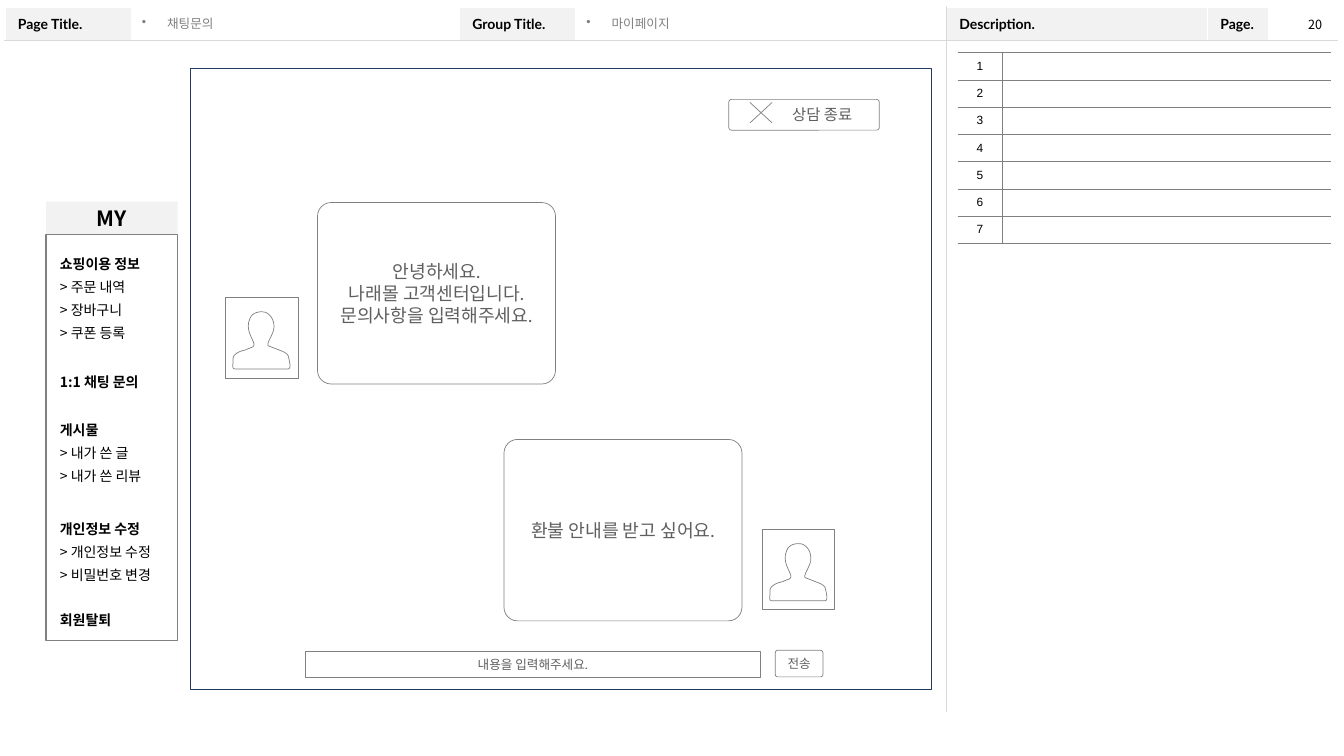
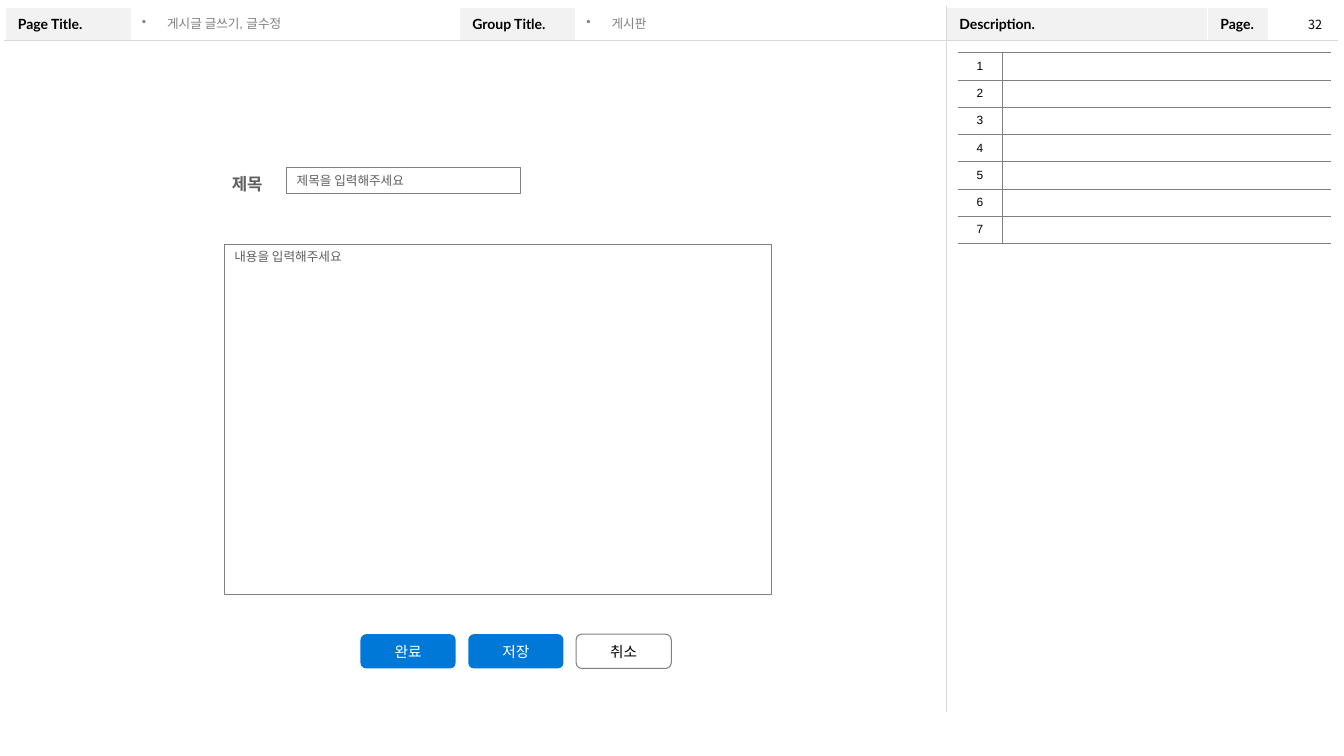
"""Build two storyboard pages: a chat inquiry screen and a post editor screen."""
import lxml.etree
import pptx
import pptx.dml.color
import pptx.enum.shapes
import pptx.enum.text
import pptx.oxml.ns
import pptx.util

Pt = pptx.util.Pt
RGBColor = pptx.dml.color.RGBColor
SHAPE = pptx.enum.shapes.MSO_SHAPE
ALIGN = pptx.enum.text.PP_ALIGN
ANCHOR = pptx.enum.text.MSO_ANCHOR
qn = pptx.oxml.ns.qn

BLACK = RGBColor(0x00, 0x00, 0x00)
WHITE = RGBColor(0xFF, 0xFF, 0xFF)
BAND = RGBColor(0xF2, 0xF2, 0xF2)
RULE = RGBColor(0xD9, 0xD9, 0xD9)
GRAY = RGBColor(0x80, 0x80, 0x80)
TEXT = RGBColor(0x5F, 0x5F, 0x5F)
NAVY = RGBColor(0x22, 0x39, 0x61)
BLUE = RGBColor(0x00, 0x78, 0xD7)
SANS, LATIN, KOREAN = "Arial", "Lato", "Noto Sans CJK KR"
INSETS = (7.2, 3.6, 7.2, 3.6)

HEADER = ["Page Title.", "", "Group Title.", "", "Description.", "Page.", ""]
HEADER_WIDTHS = [90.7, 234, 82.8, 265, 186.5, 43.9, 49]
HEADER_HEIGHTS = [23.8, 480.2]
DIVIDER_COLUMN = 4
NOTE_COUNT, NOTE_WIDTHS, NOTE_HEIGHT = 7, [31.8, 234.7], 19.5

MENU_BOX = (33, 167.5, 94, 290)
MENU = [
    (177.1, ["쇼핑이용 정보", "> 주문 내역", "> 장바구니", "> 쿠폰 등록"]),
    (261.4, ["1:1 채팅 문의"]),
    (295.9, ["게시물", "> 내가 쓴 글", "> 내가 쓴 리뷰"]),
    (366.5, ["개인정보 수정", "> 개인정보 수정", "> 비밀번호 변경"]),
    (432, ["회원탈퇴"]),
]
CHATS = [
    ((226.8, 144.7), (161, 212.4),
     ["안녕하세요.", "나래몰 고객센터입니다.", "문의사항을 입력해주세요."]),
    ((360, 313.9), (544.5, 378), ["환불 안내를 받고 싶어요."]),
]
SILHOUETTE_START = (55, 44)
SILHOUETTE_CURVES = [
    ((53, 40), (47, 39), (43, 37)), ((40, 36), (38, 35), (35, 34)),
    ((34, 31), (37, 28), (40, 20)), ((42, 15), (41, 5), (33, 1)),
    ((27, -1), (19, 1), (17, 7)), ((12, 18), (20, 27), (21, 32)),
    ((22, 36), (16, 36), (13, 38)), ((9, 39), (5, 40), (2, 43)),
    ((-1, 46), (1, 49), (0, 53)), ((0, 56), (0, 57), (3, 57)),
    ((20, 57), (35, 57), (55, 57)), ((59, 57), (55, 45), (55, 44)),
]
SILHOUETTE_SCALE, CURVE_STEPS = 0.72, 8
BUTTONS = [("완료", BLUE, WHITE), ("저장", BLUE, WHITE), ("취소", None, BLACK)]
BUTTON_LEFT, BUTTON_STEP = 257.5, 77


def points(*lengths):
    return [Pt(length) for length in lengths]


def write(frame, lines, size, font=LATIN, color=TEXT, bold=False, align=ALIGN.LEFT,
          anchor=ANCHOR.MIDDLE, insets=INSETS, wrap=True, spacing=None):
    frame.word_wrap = wrap
    frame.vertical_anchor = anchor
    (frame.margin_left, frame.margin_top,
     frame.margin_right, frame.margin_bottom) = points(*insets)
    frame.text = "\n".join(lines)
    for para in frame.paragraphs:
        para.alignment = align
        if spacing:
            para.line_spacing = spacing
        para.font.size = Pt(size)
        para.font.name = font
        para.font.bold = bold
        para.font.color.rgb = color
    return frame.paragraphs


def add_text(page, area, lines, size, **style):
    box = page.shapes.add_textbox(*points(*area))
    return write(box.text_frame, lines, size, **style)


def paint(shape, fill=WHITE, line=GRAY, weight=0.5):
    shape.shadow.inherit = False
    if fill is None:
        shape.fill.background()
    else:
        shape.fill.solid()
        shape.fill.fore_color.rgb = fill
    if line is None:
        shape.line.fill.background()
    else:
        shape.line.color.rgb = line
        shape.line.width = Pt(weight)


def add_box(page, area, radius=None, **look):
    kind = SHAPE.RECTANGLE if radius is None else SHAPE.ROUNDED_RECTANGLE
    box = page.shapes.add_shape(kind, *points(*area))
    if radius is not None:
        box.adjustments[0] = radius
    paint(box, **look)
    return box


def set_borders(cell, borders):
    properties = cell._tc.get_or_add_tcPr()
    for side, border in zip("LRTB", borders):
        line = lxml.etree.SubElement(properties, qn("a:ln" + side))
        if border is None:
            lxml.etree.SubElement(line, qn("a:noFill"))
            continue
        color, weight = border
        line.set("w", str(Pt(weight)))
        solid = lxml.etree.SubElement(line, qn("a:solidFill"))
        lxml.etree.SubElement(solid, qn("a:srgbClr"), val=str(color))


def set_cell(cell, text, borders, fill, insets, size, **style):
    set_borders(cell, borders)
    if fill is None:
        cell.fill.background()
    else:
        cell.fill.solid()
        cell.fill.fore_color.rgb = fill
    cell.vertical_anchor = ANCHOR.MIDDLE
    (cell.margin_left, cell.margin_top,
     cell.margin_right, cell.margin_bottom) = points(*insets)
    para = cell.text_frame.paragraphs[0]
    if not text:
        lxml.etree.SubElement(para._p, qn("a:endParaRPr"), sz="800")
        return
    para.text = text
    para.alignment = style["align"]
    para.font.size = Pt(size)
    para.font.name = style["font"]
    para.font.bold = style["bold"]
    para.font.color.rgb = BLACK


def add_grid(page, left, top, widths, heights):
    area = points(left, top, sum(widths), sum(heights))
    table = page.shapes.add_table(len(heights), len(widths), *area).table
    table.first_row = table.horz_banding = False
    for column, width in zip(table.columns, widths):
        column.width = Pt(width)
    for row, height in zip(table.rows, heights):
        row.height = Pt(height)
    return table


def add_header(page):
    table = add_grid(page, 3.6, 5, HEADER_WIDTHS, HEADER_HEIGHTS)
    plain, rule = (WHITE, 1), (RULE, 0.25)
    last = len(HEADER) - 1
    table.cell(1, 0).merge(table.cell(1, DIVIDER_COLUMN - 1))
    table.cell(1, DIVIDER_COLUMN).merge(table.cell(1, last))
    for row in range(2):
        for column, title in enumerate(HEADER):
            meets_divider = column == DIVIDER_COLUMN - 1 or (
                row == 1 and column < DIVIDER_COLUMN)
            borders = (rule if column == DIVIDER_COLUMN else plain,
                       rule if meets_divider else plain,
                       rule if row == 1 else plain,
                       rule if row == 0 else plain)
            text = title if row == 0 else ""
            set_cell(table.cell(row, column), text, borders, BAND if text else None,
                     (9.2, 5, 9.2, 5), 10, font=LATIN, bold=True, align=ALIGN.LEFT)


def add_notes_table(page):
    table = add_grid(page, 684, 37.5, NOTE_WIDTHS, [NOTE_HEIGHT] * NOTE_COUNT)
    rule = (GRAY, 0.25)
    for row in range(NOTE_COUNT):
        set_cell(table.cell(row, 0), str(row + 1), (None, rule, rule, rule), None,
                 INSETS, 8.5, font=SANS, bold=False, align=ALIGN.CENTER)
        set_cell(table.cell(row, 1), "", (rule, None, rule, rule), None, INSETS, 8.5)


def add_heading(page, left, width, text):
    para = add_text(page, (left, 8.3, width, 17.3), [text], 9, font=SANS, color=GRAY)[0]
    properties = para._p.get_or_add_pPr()
    properties.set("marL", str(Pt(18)))
    properties.set("indent", str(-Pt(18)))
    bullet = lxml.etree.Element(qn("a:buChar"), char="•")
    properties.insert(0, bullet)


def add_page(deck, title, group, number):
    page = deck.slides.add_slide(deck.slide_layouts[6])
    add_header(page)
    add_heading(page, 94.3, 233, title)
    add_heading(page, 411.8, 262, group)
    add_notes_table(page)
    add_text(page, (927.4, 8.3, 24.5, 18), [number], 9, font=KOREAN, color=BLACK, wrap=False)
    return page


def trace_silhouette():
    outline, start = [], SILHOUETTE_START
    for first, second, end in SILHOUETTE_CURVES:
        for step in range(1, CURVE_STEPS + 1):
            t = step / CURVE_STEPS
            weights = ((1 - t) ** 3, 3 * t * (1 - t) ** 2, 3 * t * t * (1 - t), t ** 3)
            corners = (start, first, second, end)
            outline.append([sum(w * corner[axis] for w, corner in zip(weights, corners))
                            for axis in range(2)])
        start = end
    return outline


def add_avatar(page, left, top):
    add_box(page, (left, top, 51.8, 57.6))
    outline = [points(left + 5.3 + x * SILHOUETTE_SCALE, top + 10.1 + y * SILHOUETTE_SCALE)
               for x, y in [SILHOUETTE_START] + trace_silhouette()]
    builder = page.shapes.build_freeform(*outline[0])
    builder.add_line_segments(outline[1:], close=True)
    paint(builder.convert_to_shape())


def add_line(page, *ends):
    line = page.shapes.add_connector(pptx.enum.shapes.MSO_CONNECTOR.STRAIGHT, *points(*ends))
    line.line.color.rgb = GRAY
    line.line.width = Pt(0.5)
    lxml.etree.SubElement(line._element.spPr, qn("a:effectLst"))


def add_menu(page):
    left, top, width, _ = MENU_BOX
    band = add_box(page, (left, top - 23.5, width, 23.5), fill=BAND, line=None)
    write(band.text_frame, ["MY"], 15, font=KOREAN, color=BLACK, bold=True,
          align=ALIGN.CENTER, insets=(0, 0, 0, 0))
    add_box(page, MENU_BOX, fill=None, weight=1)
    for group_top, entries in MENU:
        height = 5 + 16.5 * len(entries)
        paras = add_text(page, (41.8, group_top, 78, height), entries, 10, font=KOREAN,
                         color=BLACK, anchor=ANCHOR.TOP, insets=(1, 5, 0, 0),
                         spacing=Pt(12.1))
        paras[0].font.bold = True
        for para in paras[1:]:
            para.space_before = Pt(4.4)


def build_chat(deck):
    page = add_page(deck, "채팅문의", "마이페이지", "20")
    add_box(page, (136.3, 49, 529, 443.5), fill=None, line=NAVY, weight=1)
    add_menu(page)
    for bubble, avatar, lines in CHATS:
        box = add_box(page, (*bubble, 170, 129.6), radius=0.075)
        write(box.text_frame, lines, 13, align=ALIGN.CENTER, spacing=Pt(15.6))
        add_avatar(page, *avatar)
    field = add_box(page, (218, 465.5, 325, 18.5))
    write(field.text_frame, ["내용을 입력해주세요."], 9, align=ALIGN.CENTER)
    send = add_box(page, (553.8, 464.5, 34, 19), radius=0.088)
    write(send.text_frame, ["전송"], 9, align=ALIGN.CENTER, wrap=False)
    close = add_box(page, (520.6, 71, 107.5, 22), radius=0.088)
    write(close.text_frame, ["상담 종료"], 11, align=ALIGN.CENTER, insets=(31, 3.6, 5, 3.6))
    left, top, right, bottom = 535.7, 73.2, 551.5, 87.8
    add_line(page, left, top, right, bottom)
    add_line(page, left, bottom, right, top)


def build_editor(deck):
    page = add_page(deck, "게시글 글쓰기, 글수정", "게시판", "32")
    body = add_box(page, (160.3, 174.5, 391, 250))
    write(body.text_frame, ["내용을 입력해주세요"], 9, anchor=ANCHOR.TOP)
    title = add_box(page, (204.8, 119.5, 167, 19))
    write(title.text_frame, ["제목을 입력해주세요"], 9)
    add_text(page, (159.8, 120, 45, 22), ["제목"], 12, bold=True, insets=(5.8, 4, 0, 4))
    for index, (label, fill, color) in enumerate(BUTTONS):
        area = (BUTTON_LEFT + index * BUTTON_STEP, 453, 68, 24.5)
        button = add_box(page, area, radius=0.167, fill=fill,
                         line=None if fill else GRAY, weight=0.75)
        write(button.text_frame, [label], 10.5, color=color, align=ALIGN.CENTER, wrap=False)


def main():
    deck = pptx.Presentation()
    deck.slide_width, deck.slide_height = points(960, 540)
    build_chat(deck)
    build_editor(deck)
    deck.save("out.pptx")


if __name__ == "__main__":
    main()
